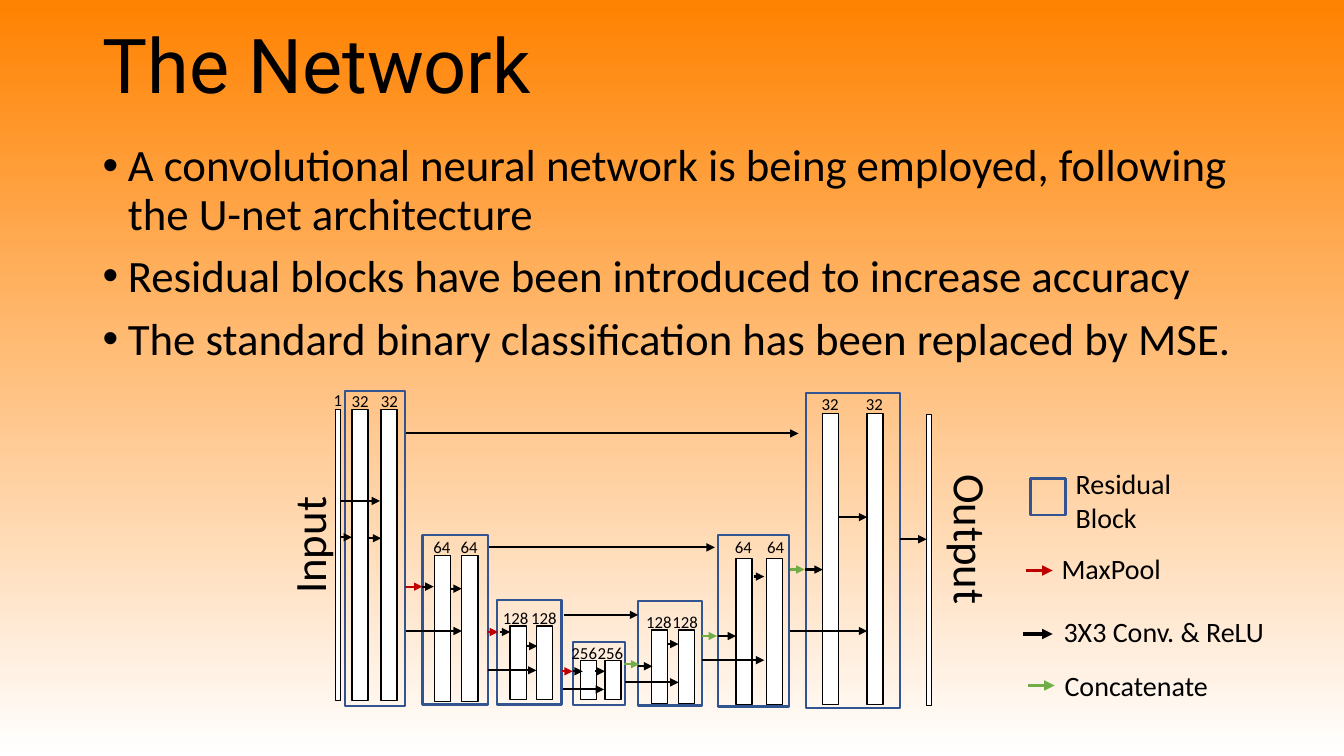
from dataclasses import dataclass

from pptx import Presentation
from pptx.dml.color import RGBColor
from pptx.enum import shapes, text
from pptx.oxml.xmlchemy import OxmlElement
from pptx.shapes.autoshape import Shape
from pptx.slide import Slide
from pptx.text.text import TextFrame
from pptx.util import Inches, Pt


@dataclass(frozen=True)
class Theme:
    ink: str = "000000"
    paper: str = "FFFFFF"
    sky: str = "FF8303"
    block: str = "325491"
    pool: str = "C00000"
    concat: str = "70AD47"
    heading_font: str = "Roboto"
    body_font: str = "Calibri"
    title: int = 54
    body: int = 32
    legend: int = 20
    label: int = 12


@dataclass(frozen=True)
class Box:
    left: float
    top: float
    width: float
    height: float


@dataclass(frozen=True)
class Stage:
    """A residual block holding two bars, each with its channel count above."""
    channels: str
    block: Box
    bars: tuple[float, float]
    bar_top: float
    bar_height: float
    labels: tuple[float, float]
    label_top: float


@dataclass(frozen=True)
class Arrow:
    x1: float
    x2: float
    y: float


@dataclass(frozen=True)
class LegendRow:
    text: str
    box: Box
    arrow: Arrow
    color: str


THEME = Theme()
BAR_WIDTH = 0.16
LABEL_HEIGHT = 0.3

BULLETS = [
    "A convolutional neural network is being employed, following the U-net architecture",
    "Residual blocks have been introduced to increase accuracy",
    "The standard binary classification has been replaced by MSE.",
]

STAGES = [
    Stage("32", Box(3.42, 3.88, 0.6, 3.12), (3.49, 3.78), 4.06, 2.89, (3.39, 3.68), 3.83),
    Stage("64", Box(4.19, 5.31, 0.65, 1.68), (4.31, 4.58), 5.51, 1.45, (4.2, 4.47), 5.28),
    Stage("128", Box(4.93, 5.95, 0.64, 1.04), (5.06, 5.32), 6.21, 0.73, (4.89, 5.17), 5.98),
    Stage("256", Box(5.68, 6.37, 0.52, 0.62), (5.76, 6), 6.55, 0.39, (5.57, 5.83), 6.33),
    Stage("128", Box(6.33, 5.96, 0.63, 1.04), (6.46, 6.73), 6.25, 0.73, (6.31, 6.57), 6.02),
    Stage("64", Box(7.12, 5.31, 0.71, 1.7), (7.3, 7.6), 5.54, 1.45, (7.19, 7.51), 5.28),
    Stage("32", Box(7.99, 3.9, 0.94, 3.12), (8.16, 8.6), 4.1, 2.89, (8.05, 8.49), 3.86),
]

INPUT_BAR = Box(3.33, 4.06, 0.05, 2.89)
OUTPUT_BAR = Box(9.19, 4.11, 0.05, 2.89)

CONVOLUTIONS = [
    # into the first bar of each block
    Arrow(3.38, 3.49, 5.33), Arrow(4.19, 4.3, 5.82), Arrow(4.96, 5.06, 6.27),
    Arrow(5.68, 5.78, 6.66), Arrow(6.33, 6.47, 6.61), Arrow(7.12, 7.3, 6.31),
    Arrow(7.98, 8.16, 5.65),
    # between the two bars of each block
    Arrow(3.65, 3.78, 5.34), Arrow(4.47, 4.58, 5.84), Arrow(5.22, 5.33, 6.41),
    Arrow(5.9, 6, 6.66), Arrow(6.62, 6.73, 6.39), Arrow(7.48, 7.58, 5.72),
    Arrow(8.32, 8.6, 5.13),
    # residual paths to the second bar
    Arrow(3.37, 3.77, 4.97), Arrow(4.03, 4.58, 6.26), Arrow(4.84, 5.32, 6.65),
    Arrow(5.58, 5.99, 6.84), Arrow(6.2, 6.73, 6.77), Arrow(6.96, 7.58, 6.55),
    Arrow(7.84, 8.6, 6.26),
    # skips across the U, then the output
    Arrow(4.03, 7.92, 4.3), Arrow(4.85, 7.09, 5.43), Arrow(5.59, 6.33, 6.1),
    Arrow(8.93, 9.19, 5.35),
]
POOLS = [Arrow(4.02, 4.19, 5.82), Arrow(4.83, 4.94, 6.27), Arrow(5.57, 5.68, 6.66)]
CONCATS = [Arrow(6.19, 6.34, 6.59), Arrow(6.96, 7.11, 6.31), Arrow(7.84, 7.98, 5.65)]

LEGEND = [
    LegendRow("MaxPool", Box(10.43, 5.42, 1.49, 0.44), Arrow(10.18, 10.44, 5.66), THEME.pool),
    LegendRow("3X3 Conv. & ReLU", Box(10.45, 6.05, 2.28, 0.44), Arrow(10.15, 10.44, 6.29), THEME.ink),
    LegendRow("Concatenate", Box(10.46, 6.58, 1.69, 0.44), Arrow(10.2, 10.46, 6.8), THEME.concat),
]


def lengths(box: Box) -> list[int]:
    return [Inches(v) for v in (box.left, box.top, box.width, box.height)]


def write(tf: TextFrame, *lines: str, size: int, font: str = THEME.body_font,
          spacing: float | None = None, before: int = 0, bullet: bool = False) -> None:
    tf.word_wrap = True
    tf.auto_size = text.MSO_AUTO_SIZE.NONE
    for i, line in enumerate(lines):
        p = tf.paragraphs[0] if i == 0 else tf.add_paragraph()
        p.alignment = text.PP_ALIGN.LEFT
        p.line_spacing = spacing
        p.space_before = Pt(before)
        r = p.add_run()
        r.text = line
        r.font.size, r.font.name = Pt(size), font
        r.font.color.rgb = RGBColor.from_string(THEME.ink)
        if bullet:
            pPr = p._p.get_or_add_pPr()
            pPr.set("marL", str(Inches(0.25)))
            pPr.set("indent", str(Inches(-0.25)))
            for tag, key, value in (("a:buFont", "typeface", "Arial"), ("a:buChar", "char", "•")):
                el = OxmlElement(tag)
                el.set(key, value)
                pPr.append(el)


def add_text(slide: Slide, box: Box, *lines: str, rotation: float = 0, **fmt) -> None:
    sp = slide.shapes.add_textbox(*lengths(box))
    sp.rotation = rotation
    write(sp.text_frame, *lines, **fmt)


def add_rect(slide: Slide, box: Box, line: str, width: float, fill: str | None = None) -> Shape:
    sp = slide.shapes.add_shape(shapes.MSO_SHAPE.RECTANGLE, *lengths(box))
    sp.shadow.inherit = False
    if fill:
        sp.fill.solid()
        sp.fill.fore_color.rgb = RGBColor.from_string(fill)
    else:
        sp.fill.background()
    sp.line.color.rgb = RGBColor.from_string(line)
    sp.line.width = Pt(width)
    return sp


def add_bar(slide: Slide, box: Box) -> None:
    add_rect(slide, box, THEME.ink, 1, THEME.paper)


def add_arrow(slide: Slide, arrow: Arrow, color: str, width: float = 1.5) -> None:
    y = Inches(arrow.y)
    cxn = slide.shapes.add_connector(
        shapes.MSO_CONNECTOR.STRAIGHT, Inches(arrow.x1), y, Inches(arrow.x2), y)
    cxn.line.color.rgb = RGBColor.from_string(color)
    cxn.line.width = Pt(width)
    head = OxmlElement("a:tailEnd")
    head.set("type", "triangle")
    cxn.line._get_or_add_ln().append(head)
    cxn._element.spPr.append(OxmlElement("a:effectLst"))


def paint_background(slide: Slide) -> None:
    fill = slide.background.fill
    fill.gradient()
    fill.gradient_angle = 270
    for stop, position, color in zip(fill.gradient_stops, (0.01, 1), (THEME.sky, THEME.paper)):
        stop.position = position
        stop.color.rgb = RGBColor.from_string(color)


def add_heading(slide: Slide) -> None:
    title = slide.shapes.title
    title.left, title.top, title.width, title.height = lengths(Box(0.92, -0.04, 11.5, 1.45))
    title.text_frame.vertical_anchor = text.MSO_ANCHOR.MIDDLE
    write(title.text_frame, "The Network", size=THEME.title, font=THEME.heading_font, spacing=0.9)
    add_text(slide, Box(0.92, 1.37, 11.5, 4.76), *BULLETS,
             size=THEME.body, spacing=0.9, before=10, bullet=True)


def add_network(slide: Slide) -> None:
    add_bar(slide, INPUT_BAR)
    add_bar(slide, OUTPUT_BAR)
    for stage in STAGES:
        for x in stage.bars:
            add_bar(slide, Box(x, stage.bar_top, BAR_WIDTH, stage.bar_height))
        add_rect(slide, stage.block, THEME.block, 1.5)
    for arrows, color in ((CONVOLUTIONS, THEME.ink), (POOLS, THEME.pool), (CONCATS, THEME.concat)):
        for arrow in arrows:
            add_arrow(slide, arrow, color)
    add_text(slide, Box(3.21, 3.82, 0.3, LABEL_HEIGHT), "1", size=THEME.label)
    for stage in STAGES:
        width = 0.47 if len(stage.channels) == 3 else 0.4
        for x in stage.labels:
            add_text(slide, Box(x, stage.label_top, width, LABEL_HEIGHT), stage.channels, size=THEME.label)
    add_text(slide, Box(2.17, 4.78, 1.78, 0.64), "Input", rotation=270, size=THEME.body)
    add_text(slide, Box(8.77, 5.15, 1.73, 0.64), "Output", rotation=90, size=THEME.body)


def add_legend(slide: Slide) -> None:
    add_rect(slide, Box(10.22, 4.75, 0.35, 0.36), THEME.block, 2)
    add_text(slide, Box(10.57, 4.58, 1.3, 0.77), "Residual Block", size=THEME.legend)
    for row in LEGEND:
        add_arrow(slide, row.arrow, row.color, 2.5)
        add_text(slide, row.box, row.text, size=THEME.legend)


def main() -> None:
    prs = Presentation()
    prs.slide_width, prs.slide_height = Inches(13.33), Inches(7.5)
    slide = prs.slides.add_slide(prs.slide_layouts.get_by_name("Title Only"))
    paint_background(slide)
    add_heading(slide)
    add_network(slide)
    add_legend(slide)
    prs.save("out.pptx")


if __name__ == "__main__":
    main()
